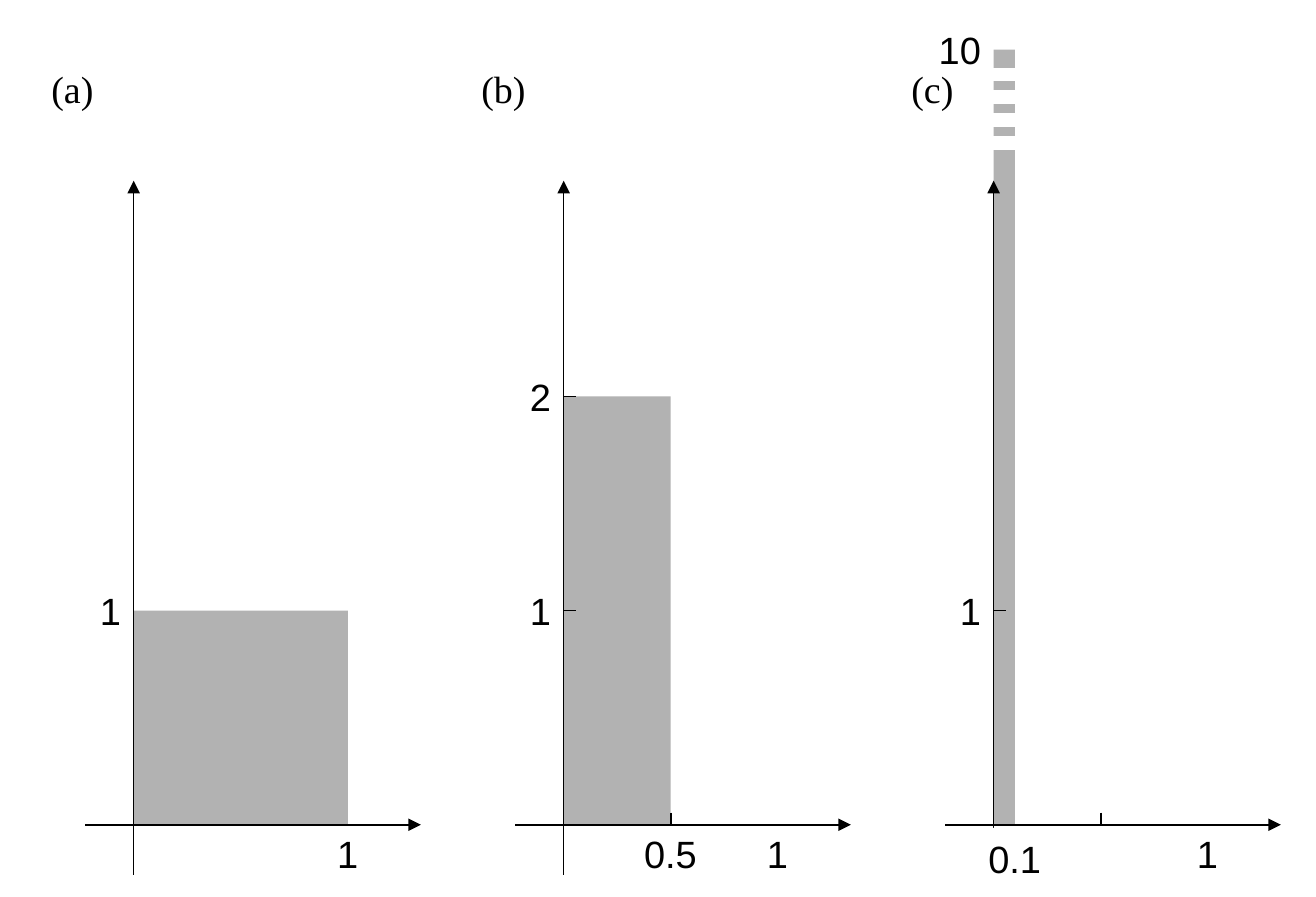
"""Three unit-area densities on matching axes, squeezed towards zero."""
from dataclasses import dataclass

from lxml.etree import SubElement
from pptx import Presentation
from pptx.dml.color import RGBColor as Color
from pptx.enum.shapes import MSO_CONNECTOR as Connector, MSO_SHAPE as Preset
from pptx.enum.text import MSO_AUTO_SIZE as AutoSize
from pptx.oxml.ns import qn
from pptx.slide import Slide
from pptx.util import Cm, Inches, Pt


@dataclass(frozen=True)
class Theme:
    """Colours, type and line weight of the slide."""
    ink: Color = Color(0, 0, 0)
    bar: Color = Color(0xB2, 0xB2, 0xB2)
    paper: Color = Color(0xFF, 0xFF, 0xFF)
    size: float = 18
    weight: float = 0.75
    number_font: str = "Arial"
    tag_font: str = "Times New Roman"


@dataclass(frozen=True)
class Panel:
    """One density: its bar in axis units, its tick marks and its labels."""
    tag: str
    bar_width: float
    bar_height: float
    x_ticks: tuple[float, ...]
    y_ticks: tuple[float, ...]
    x_labels: dict[str, float]
    y_labels: dict[str, float]
    broken: bool = False


THEME = Theme()
FIRST_ORIGIN, PITCH, BASE, UNIT = 0.88, 2.83, 5.43, 1.41
TICK, LABEL_HEIGHT, TAG_WIDTH = 0.08, 0.4, 0.5
LABEL_WIDTHS = {1: 0.34, 2: 0.48, 3: 0.55}
PANELS = (
    Panel("(a)", 1, 1, (), (), {"1": 1}, {"1": 1}),
    Panel("(b)", 0.5, 2, (0.5,), (1, 2), {"0.5": 0.5, "1": 1}, {"1": 1, "2": 2}),
    Panel("(c)", 0.1, 3.62, (0.5,), (1,), {"0.1": 0.1, "1": 1}, {"1": 1, "10": 3.62},
          broken=True),
)


def add_block(page: Slide, left: float, top: float, width: float, height: float,
              color: Color, outlined: bool = False) -> None:
    """Draw a plain rectangle, with an outline of its own colour if asked."""
    block = page.shapes.add_shape(Preset.RECTANGLE, Inches(left), Inches(top),
                                  Inches(width), Inches(height))
    block.shadow.inherit = False
    block.fill.solid()
    block.fill.fore_color.rgb = color
    if outlined:
        block.line.color.rgb = color
        block.line.width = Pt(THEME.weight)
    else:
        block.line.fill.background()


def add_line(page: Slide, start: tuple[float, float], end: tuple[float, float],
             arrow: bool = False) -> None:
    """Draw a thin straight line, with an arrowhead at its end if asked."""
    line = page.shapes.add_connector(Connector.STRAIGHT, *map(Inches, start + end))
    line.line.color.rgb = THEME.ink
    line.line.width = Pt(THEME.weight)
    properties = line._element.spPr
    if arrow:
        SubElement(properties.find(qn("a:ln")), qn("a:tailEnd"), type="triangle")
    SubElement(properties, qn("a:effectLst"))


def add_text(page: Slide, text: str, left: float, top: float, width: float, *,
             font: str = THEME.number_font, fill: Color | None = None) -> None:
    """Place one line of text in an unwrapped box."""
    box = page.shapes.add_textbox(Inches(left), Inches(top), Inches(width),
                                  Inches(LABEL_HEIGHT))
    if fill is not None:
        box.fill.solid()
        box.fill.fore_color.rgb = fill
    frame = box.text_frame
    frame.word_wrap = False
    frame.auto_size = AutoSize.SHAPE_TO_FIT_TEXT
    span = frame.paragraphs[0].add_run()
    span.text = text
    span.font.name = font
    span.font.size = Pt(THEME.size)
    span.font.color.rgb = THEME.ink


def draw_panel(page: Slide, panel: Panel, origin: float) -> None:
    """Draw the bar, axes, ticks and labels of one density."""
    bar_height = panel.bar_height * UNIT
    add_block(page, origin, BASE - bar_height, panel.bar_width * UNIT, bar_height,
              THEME.bar)
    add_line(page, (origin - 0.32, BASE), (origin + 1.89, BASE), arrow=True)
    add_line(page, (origin, 5.76), (origin, 1.19), arrow=True)

    for value in panel.x_ticks:
        across = origin + value * UNIT
        add_line(page, (across, BASE - TICK), (across, BASE))
    for value in panel.y_ticks:
        level = BASE - value * UNIT
        add_line(page, (origin, level), (origin + TICK, level))

    for text, value in panel.x_labels.items():
        width = LABEL_WIDTHS[len(text)]
        near_axis = value < 0.5
        add_text(page, text, origin + value * UNIT - width / 2,
                 BASE + 0.02 if near_axis else BASE - 0.01, width,
                 fill=THEME.paper if near_axis else None)
    for text, value in panel.y_labels.items():
        width = LABEL_WIDTHS[len(text)]
        add_text(page, text, origin + 0.02 - width,
                 BASE - value * UNIT - LABEL_HEIGHT / 2, width)
    add_text(page, panel.tag, origin - 0.64, 0.38, TAG_WIDTH, font=THEME.tag_font)

    if panel.broken:
        for gap in range(4):
            add_block(page, origin - 0.08, 0.45 + gap * 0.15, 0.32, 0.08,
                      THEME.paper, outlined=True)


def main() -> None:
    """Build the slide and save it."""
    deck = Presentation()
    deck.slide_width, deck.slide_height = Cm(22), Cm(15)
    page = deck.slides.add_slide(deck.slide_layouts[6])
    for column, panel in enumerate(PANELS):
        draw_panel(page, panel, FIRST_ORIGIN + column * PITCH)
    deck.save("out.pptx")


if __name__ == "__main__":
    main()
